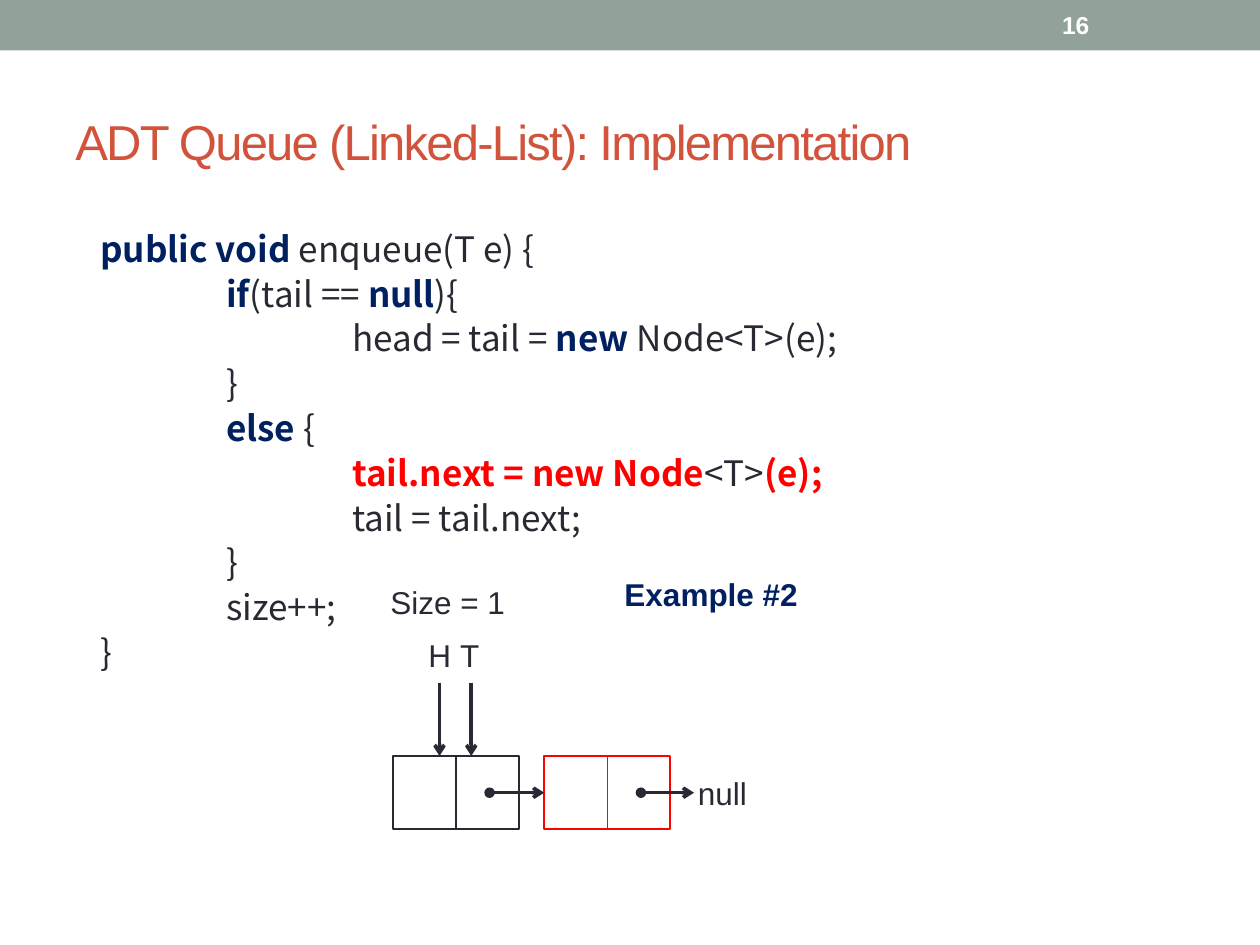
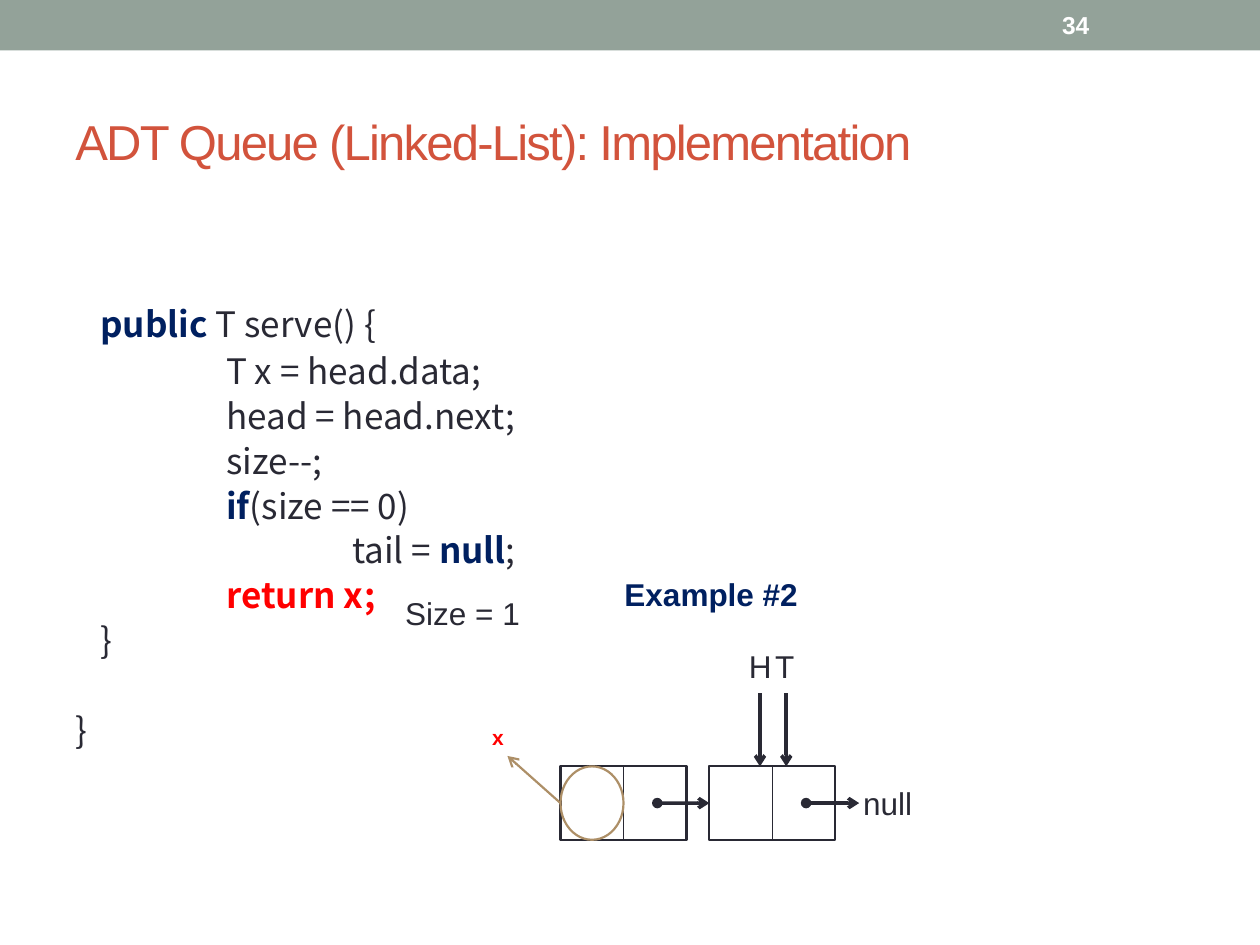
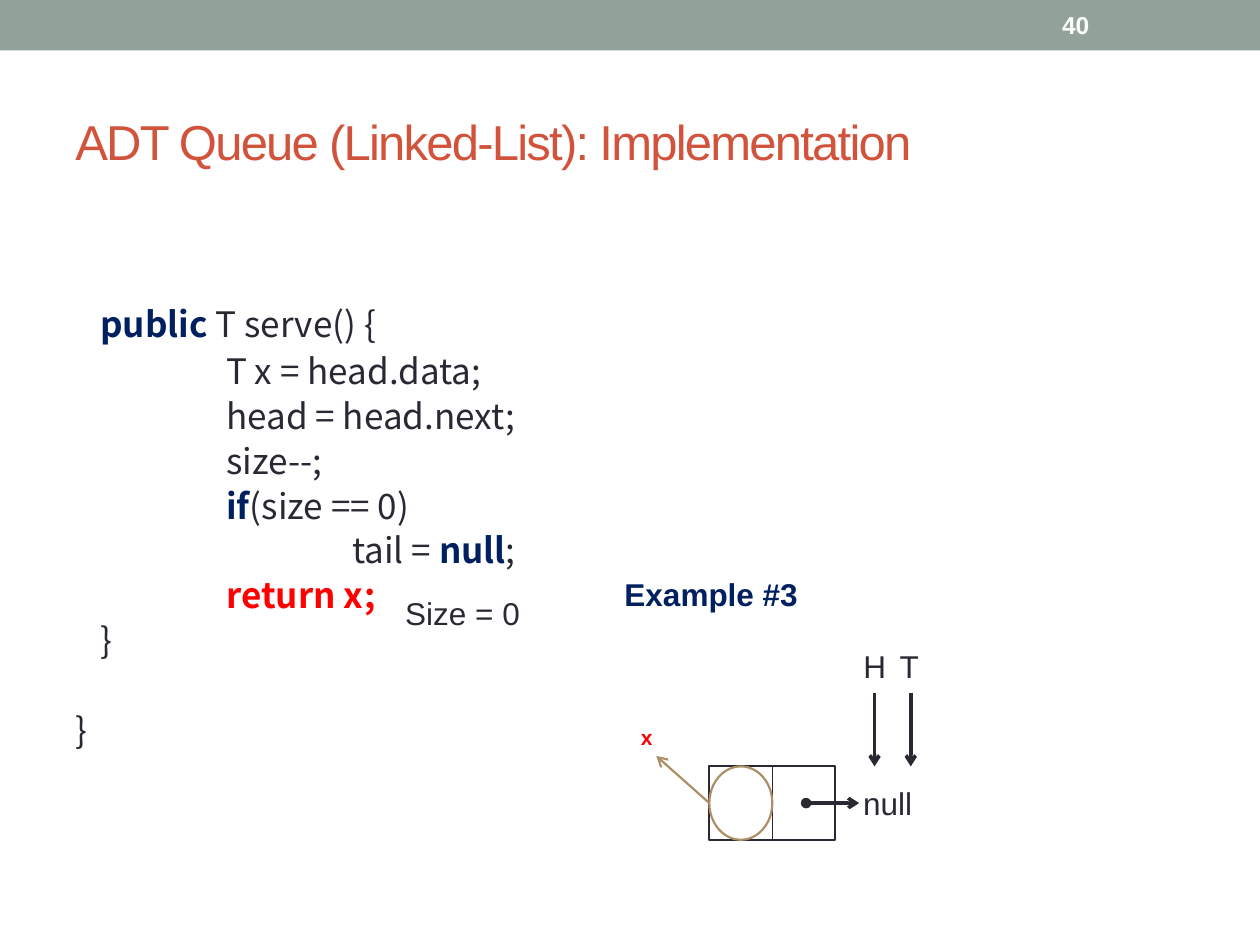
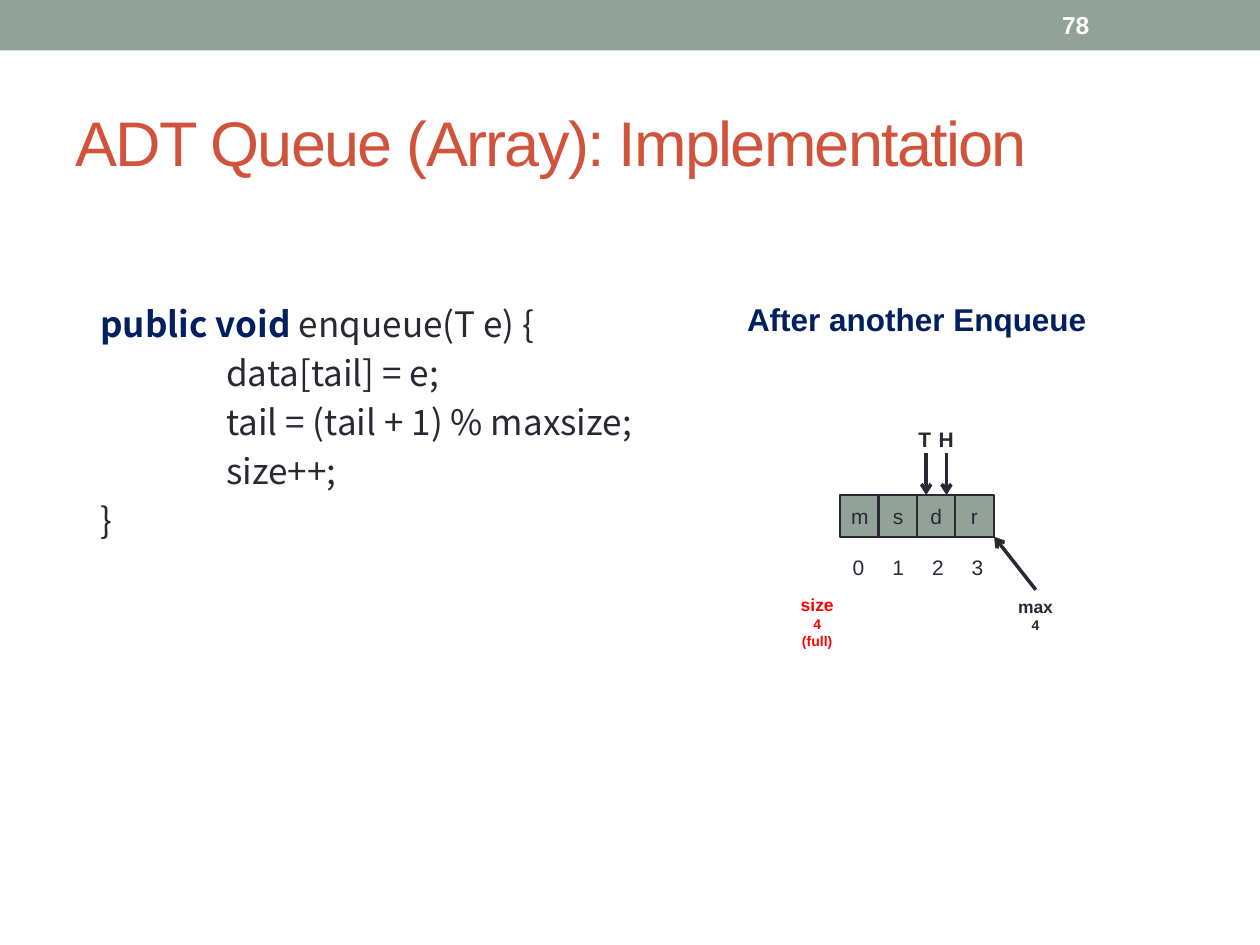
from lxml import etree
from pptx import Presentation
from pptx.dml.color import RGBColor
from pptx.enum.shapes import MSO_CONNECTOR, MSO_SHAPE
from pptx.enum.text import MSO_ANCHOR, MSO_AUTO_SIZE, PP_ALIGN
from pptx.oxml.ns import qn
from pptx.util import Cm, Pt

RECT, OVAL = MSO_SHAPE.RECTANGLE, MSO_SHAPE.OVAL
STRAIGHT = MSO_CONNECTOR.STRAIGHT
TOP, MIDDLE = MSO_ANCHOR.TOP, MSO_ANCHOR.MIDDLE
LEFT, CENTER = PP_ALIGN.LEFT, PP_ALIGN.CENTER
NO_FIT, GROW = MSO_AUTO_SIZE.NONE, MSO_AUTO_SIZE.SHAPE_TO_FIT_TEXT
SIDE_TOP, SIDE_LEFT, SIDE_BOTTOM = 0, 1, 2

COLORS = {"white": "FFFFFF", "band": "93A299", "title": "D2533C",
          "ink": "292934", "navy": "002060", "red": "FF0000", "tan": "AD8F67"}
SANS, CODE_FONT = "Arial", "Noto Sans CJK SC"

# Code: (indent level, runs, space before in points); a run is (text, colour),
# and every colour but ink is bold. Level 0 is the box edge.
ENQUEUE_LIST = [
    (1, [("public void ", "navy"), ("enqueue(T e) {", "ink")], 0),
    (2, [("if", "navy"), ("(tail == ", "ink"), ("null", "navy"), ("){", "ink")], 4),
    (3, [("head = tail = ", "ink"), ("new ", "navy"), ("Node<T>(e);", "ink")], 4),
    (2, [("}", "ink")], 4),
    (2, [("else ", "navy"), ("{", "ink")], 4),
    (3, [("tail.next = new Node", "red"), ("<T>", "ink"), ("(e);", "red")], 4),
    (3, [("tail = tail.next;", "ink")], 4),
    (2, [("}", "ink")], 4),
    (2, [("size++;", "ink")], 4),
    (1, [("}", "ink")], 4),
]
SERVE_LIST = [
    (1, [("public", "navy"), (" T serve() {", "ink")], 0),
    (2, [("T x = head.data;", "ink")], 5.5),
    (2, [("head = head.next;", "ink")], 4),
    (2, [("size--;", "ink")], 4),
    (2, [("if", "navy"), ("(size == 0)", "ink")], 4),
    (3, [("tail = ", "ink"), ("null", "navy"), (";", "ink")], 4),
    (2, [("return x;", "red")], 4),
    (1, [("}", "ink")], 4),
    (0, [("}", "ink")], 30),
]
ENQUEUE_ARRAY = [
    (1, [("public void ", "navy"), ("enqueue(T e) {", "ink")], 0),
    (2, [("data[tail] = e;", "ink")], 4),
    (2, [("tail = (tail + 1) % maxsize;", "ink")], 4),
    (2, [("size++;", "ink")], 4),
    (1, [("}", "ink")], 4),
]

# Slides: all places are in centimetres
LIST_TITLE = ("ADT Queue (Linked-List): Implementation", 28)
ARRAY_TITLE = ("ADT Queue (Array): Implementation", 36)
LIST_BODY = (1.27, 4.45, 22.86, 13.54)
ARRAY_BODY = (1.27, 4.01, 21.79, 11.63)
LIST_SLIDES = [
    {"number": "16", "code": ENQUEUE_LIST, "inset": 0.23, "example": "Example #2",
     "size": ("Size = 1", 7.62, 11.63), "y": 15.24,
     "nodes": [(7.92, "ink"), (10.97, "red")], "head": 8.86, "tail": 9.5,
     "served": False},
    {"number": "34", "code": SERVE_LIST, "inset": 1.74, "example": "Example #2",
     "size": ("Size = 1", 7.92, 11.86), "y": 15.45,
     "nodes": [(11.3, "ink"), (14.3, "ink")], "head": 15.32, "tail": 15.85,
     "served": True},
    {"number": "40", "code": SERVE_LIST, "inset": 1.74, "example": "Example #3",
     "size": ("Size = 0", 7.92, 11.86), "y": 15.45,
     "nodes": [(14.3, "ink")], "head": 17.63, "tail": 18.36,
     "served": True},
]
ARRAY_VALUES = ["m", "s", "d", "r"]
ARRAY_POINTERS = [("T", 18.67), ("H", 19.08)]
NODE_W, NODE_H = 2.54, 1.48


def color(name):
    return RGBColor.from_string(COLORS[name])


def apply(target, values):
    for name, value in values.items():
        setattr(target, name, value)


def add_run(p, text, size, c="ink", bold=False, font=SANS):
    r = p.add_run()
    r.text = text
    apply(r.font, {"name": font, "size": Pt(size), "bold": bold})
    r.font.color.rgb = color(c)
    return r


def add_box(s, box, **values):
    sp = s.shapes.add_textbox(*map(Cm, box))
    apply(sp.text_frame, {"word_wrap": True, "auto_size": NO_FIT,
                          "vertical_anchor": TOP, **values})
    return sp.text_frame


def add_label(s, box, lines, c="ink", bold=False, align=LEFT):
    """Unwrapped label; lines are (text, size) pairs."""
    tf = add_box(s, box, word_wrap=False, auto_size=GROW)
    for i, (text, size) in enumerate(lines):
        p = tf.add_paragraph() if i else tf.paragraphs[0]
        p.alignment = align
        add_run(p, text, size, c, bold)


def add_shape(s, kind, box, fill=None, line=None):
    sp = s.shapes.add_shape(kind, *map(Cm, box))
    sp.shadow.inherit = False
    if fill:
        sp.fill.solid()
        sp.fill.fore_color.rgb = color(fill)
    else:
        sp.fill.background()
    if line:
        sp.line.color.rgb = color(line)
        sp.line.width = Pt(1.25)
    else:
        sp.line.fill.background()
    return sp


def add_line(s, start, end, c="ink", width=2, head=None, tail="arrow"):
    cn = s.shapes.add_connector(STRAIGHT, *map(Cm, start + end))
    cn.line.color.rgb = color(c)
    cn.line.width = Pt(width)
    ln = cn.line._get_or_add_ln()
    for tag, kind in (("a:headEnd", head), ("a:tailEnd", tail)):
        if kind:
            etree.SubElement(ln, qn(tag)).set("type", kind)
    etree.SubElement(cn._element.spPr, qn("a:effectLst"))
    return cn


def add_pointer(s, text, x, label_y, start_y, end_y, size, bold=False):
    """Letter centred over a downward arrow."""
    w = 0.95 if size > 12 else 0.81
    add_label(s, (x - w / 2, label_y, w, size / 18), [(text, size)], bold=bold)
    add_line(s, (x, start_y), (x, end_y))


def add_code(s, box, lines, inset, spacing):
    tf = add_box(s, box, margin_top=Cm(inset))
    for i, (level, runs, before) in enumerate(lines):
        p = tf.add_paragraph() if i else tf.paragraphs[0]
        indent = 0.5 + 2.54 * (level - 1) if level else 0
        p._p.get_or_add_pPr().set("marL", str(Cm(indent)))
        apply(p, {"line_spacing": spacing, "space_before": Pt(before)})
        for text, c in runs:
            add_run(p, text, 20, c, c != "ink", CODE_FONT)


def new_slide(prs, title, number):
    s = prs.slides.add_slide(prs.slide_layouts[6])
    add_shape(s, RECT, (0, 0, 25.4, 1.02), "band")
    tf = add_box(s, (1.27, 1.47, 22.86, 2.74), vertical_anchor=MIDDLE)
    r = add_run(tf.paragraphs[0], *title, "title")
    r.font._element.set("spc", "-100")
    tf = add_box(s, (21.16, 0.05, 2.97, 0.91), vertical_anchor=MIDDLE)
    add_run(tf.paragraphs[0], number, 14, "white", True)
    return s


def add_node(s, x, y, c):
    node = add_shape(s, RECT, (x, y, NODE_W, NODE_H), "white", c)
    mid = x + NODE_W / 2
    divider = add_line(s, (mid, y), (mid, y + NODE_H), c, 0.75, tail=None)
    divider.begin_connect(node, SIDE_TOP)
    divider.end_connect(node, SIDE_BOTTOM)
    return node


def list_slide(prs, d):
    s = new_slide(prs, LIST_TITLE, d["number"])
    add_code(s, LIST_BODY, d["code"], d["inset"], 0.9)
    y = d["y"]
    mid_y = y + NODE_H / 2
    text, x, size_y = d["size"]
    add_label(s, (x, size_y, 3.1, 1.02), [(text, 18)])
    add_label(s, (12.34, 11.46, 4.17, 1.02), [(d["example"], 18)], "navy", True)
    for text, x in (("H", d["head"]), ("T", d["tail"])):
        add_pointer(s, text, x, y - 2.54, y - 1.48, y, 18)

    # Nodes, each linked to the next and the last to null
    nodes = [add_node(s, x, y, c) for x, c in d["nodes"]]
    for i, (x, _) in enumerate(d["nodes"]):
        link = add_line(s, (x + 1.95, mid_y), (x + 3.02, mid_y), head="oval")
        if i + 1 < len(nodes):
            link.end_connect(nodes[i + 1], SIDE_LEFT)
    add_label(s, (x + 2.85, y + 0.24, 1.68, 1.02), [("null", 18)])

    # Value taken from the first node
    if d["served"]:
        x = d["nodes"][0][0]
        add_shape(s, OVAL, (x, y, NODE_W / 2, NODE_H), line="tan")
        arrow = add_line(s, (x, mid_y), (x - 1.07, y - 0.21), "tan", 1.25)
        arrow.begin_connect(nodes[0], SIDE_LEFT)
        add_label(s, (x - 1.63, y - 0.97, 0.79, 0.76), [("x", 12)], "red", True)


def array_slide(prs):
    s = new_slide(prs, ARRAY_TITLE, "78")
    add_code(s, ARRAY_BODY, ENQUEUE_ARRAY, 2.09, 1.0)
    add_label(s, (14.81, 5.92, 7.52, 1.02), [("After another Enqueue", 18)],
              "navy", True)

    # Array cells with their indexes
    for i, value in enumerate(ARRAY_VALUES):
        cell = add_shape(s, RECT, (16.94 + 0.77 * i, 9.98, 0.79, 0.84),
                         "band", "ink")
        tf = cell.text_frame
        apply(tf, {"margin_left": 0, "margin_right": 0, "margin_top": 0,
                   "margin_bottom": 0, "word_wrap": False,
                   "vertical_anchor": MIDDLE})
        tf.paragraphs[0].alignment = CENTER
        add_run(tf.paragraphs[0], value, 12)
        add_label(s, (16.94 + 0.8 * i, 11.05, 0.79, 0.76), [(str(i), 12)])

    # Pointers, size and capacity
    for text, x in ARRAY_POINTERS:
        add_pointer(s, text, x, 8.48, 9.14, 9.98, 12, True)
    add_label(s, (15.88, 11.86, 1.19, 1.37),
              [("size", 10), ("4", 8), ("(full)", 8)], "red", True, CENTER)
    add_label(s, (20.24, 11.89, 1.27, 1.02),
              [("max", 10), ("4", 8)], "ink", True, CENTER)
    add_line(s, (20.88, 11.89), (20.04, 10.82))


def main():
    prs = Presentation()
    apply(prs, {"slide_width": Cm(25.4), "slide_height": Cm(19.05)})
    for d in LIST_SLIDES:
        list_slide(prs, d)
    array_slide(prs)
    prs.save("out.pptx")


if __name__ == "__main__":
    main()
